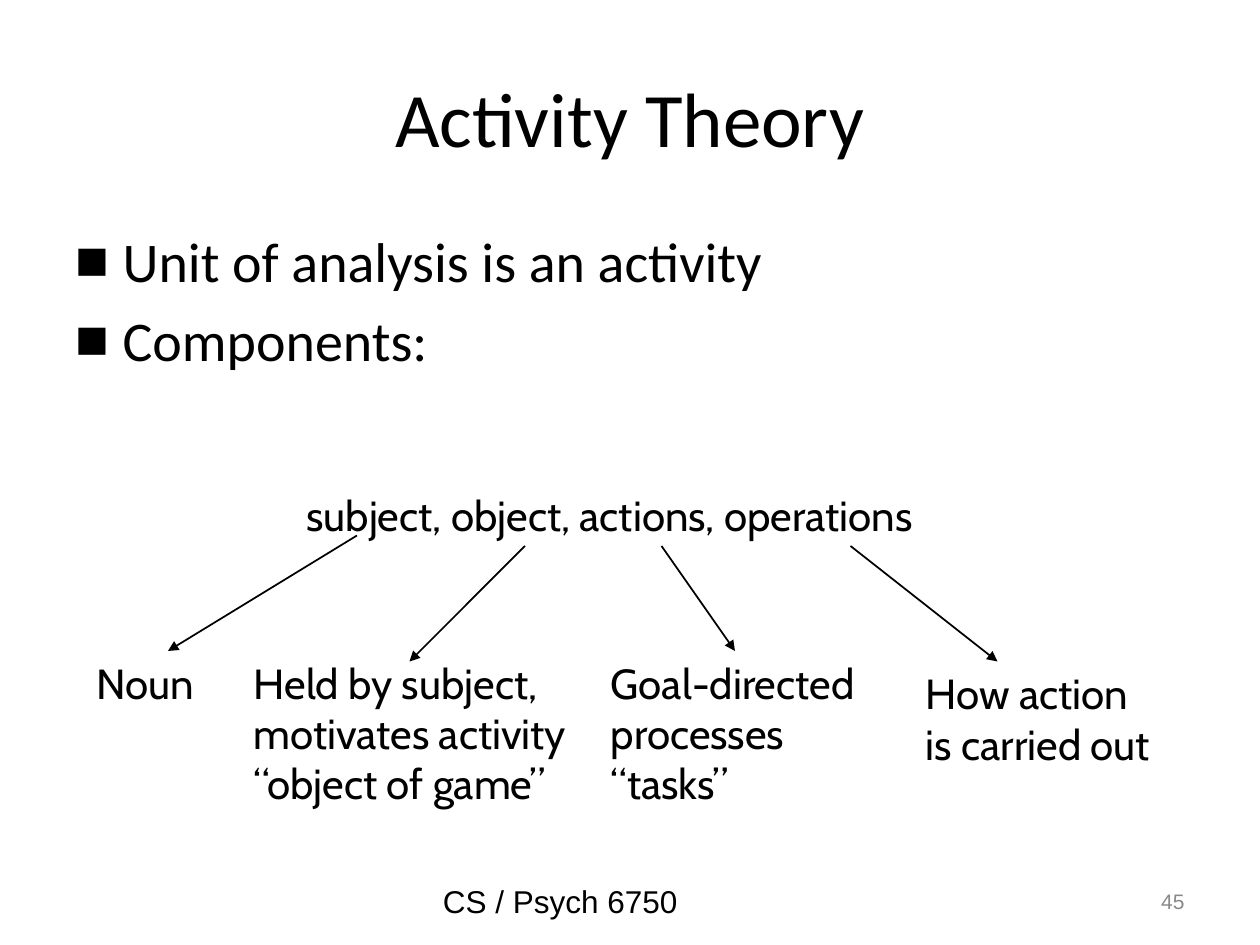
"""Build the Activity Theory slide: two bullets above a diagram of four components."""
from lxml import etree
from pptx import Presentation, util as u
from pptx.dml import color
from pptx.enum import shapes, text
from pptx.oxml import ns

presentation = Presentation()
presentation.slide_width, presentation.slide_height = u.Inches(10), u.Inches(7.5)
column, row = presentation.slide_width / 120, presentation.slide_height / 90
slide = presentation.slides.add_slide(presentation.slide_layouts[5])


def rgb(value):
    return color.RGBColor.from_string(value)


def write(shape, box, paragraphs, size, font, colour="000000", align=text.PP_ALIGN.LEFT,
          anchor=text.MSO_ANCHOR.TOP, wrap=True, bullet=None):
    left, top, width, height = box
    shape.left, shape.width = round(left * column), round(width * column)
    shape.top, shape.height = round(top * row), round(height * row)
    frame = shape.text_frame
    frame.word_wrap, frame.vertical_anchor = wrap, anchor
    frame.auto_size = text.MSO_AUTO_SIZE.NONE if wrap else text.MSO_AUTO_SIZE.SHAPE_TO_FIT_TEXT
    for index, content in enumerate(paragraphs):
        paragraph = frame.add_paragraph() if index else frame.paragraphs[0]
        paragraph.alignment = align
        if bullet:
            properties = paragraph._p.get_or_add_pPr()
            properties.set("marL", str(u.Pt(27)))
            properties.set("indent", str(-u.Pt(27)))
            if index:
                paragraph.space_before = u.Pt(0.2 * size)
            etree.SubElement(properties, ns.qn("a:buFont")).set("typeface", "Arial")
            etree.SubElement(properties, ns.qn("a:buChar")).set("char", bullet)
        for number, line in enumerate(content.split("\n")):
            if number:
                paragraph.add_line_break()
            run = paragraph.add_run()
            run.text = line
            run.font.size, run.font.name = u.Pt(size), font
            run.font.color.rgb = rgb(colour)


write(slide.shapes.title, (6, 3.6, 108, 15), ["Activity Theory"], 44, "Calibri",
      align=text.PP_ALIGN.CENTER, anchor=text.MSO_ANCHOR.MIDDLE)
body = slide.shapes.add_textbox(0, 0, 0, 0)
write(body, (6, 21, 108, 59.4), ["Unit of analysis is an activity", "Components:"],
      32, "Calibri", bullet="■")
footer = slide.shapes.add_textbox(0, 0, 0, 0)
write(footer, (41, 83.4, 38, 4.8), ["CS / Psych 6750"], 18, "Arial")
slide_number = slide.shapes.add_textbox(0, 0, 0, 0)
write(slide_number, (86, 83.4, 28, 4.8), ["45"], 12, "Arial", "898989",
      text.PP_ALIGN.RIGHT, text.MSO_ANCHOR.MIDDLE)

labels = [
    ((28, 46, 64, 6), ["subject, object, actions, operations"]),
    ((8, 62, 11.8, 6), ["Noun"]),
    ((23, 62, 33.2, 15.6), ["Held by subject,", "motivates activity", "“object of game”"]),
    ((57, 62, 25.9, 15.6), ["Goal-directed\nprocesses", "“tasks”"]),
    ((87, 63, 25.4, 10.8), ["How action\nis carried out"]),
]
for box, paragraphs in labels:
    label = slide.shapes.add_textbox(0, 0, 0, 0)
    write(label, box, paragraphs, 24, "Cabin", wrap=False)

arrows = [(34, 51, 16, 62), (50, 52, 39, 63), (63, 52, 70, 62), (81, 52, 95, 63)]
for start_column, start_row, end_column, end_row in arrows:
    arrow = slide.shapes.add_connector(
        shapes.MSO_CONNECTOR.STRAIGHT,
        round(start_column * column), round(start_row * row),
        round(end_column * column), round(end_row * row))
    arrow.line.color.rgb, arrow.line.width = rgb("000000"), u.Pt(1)
    etree.SubElement(arrow.line._get_or_add_ln(), ns.qn("a:tailEnd")).set("type", "triangle")
    etree.SubElement(arrow._element.spPr, ns.qn("a:effectLst"))

presentation.save("out.pptx")
